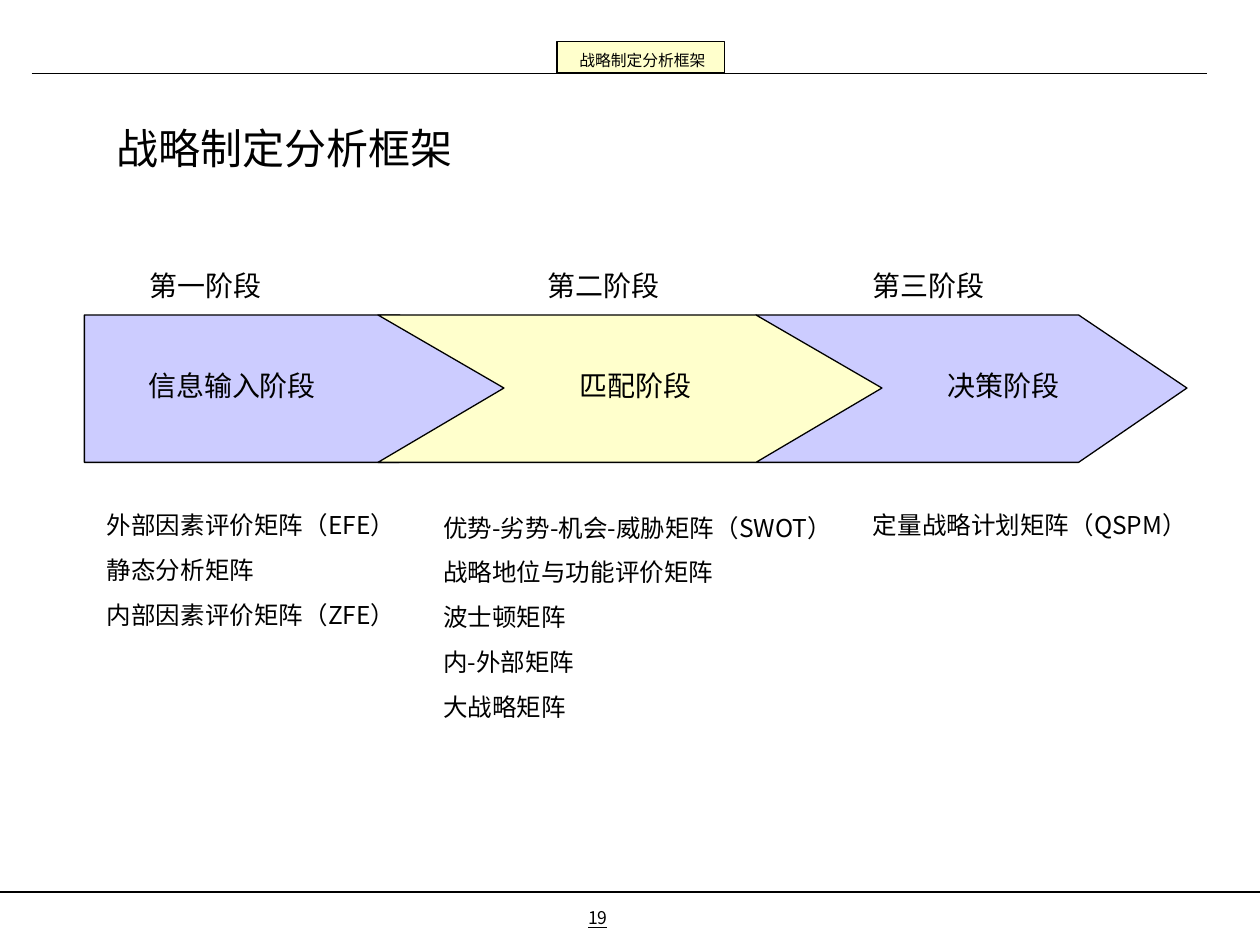
from lxml import etree
from pptx import Presentation
from pptx.dml.color import RGBColor
from pptx.enum.shapes import MSO_CONNECTOR, MSO_SHAPE
from pptx.enum.text import MSO_AUTO_SIZE
from pptx.oxml.ns import qn
from pptx.util import Inches, Pt

RECT = MSO_SHAPE.RECTANGLE
LINE = MSO_CONNECTOR.STRAIGHT
GROW = MSO_AUTO_SIZE.SHAPE_TO_FIT_TEXT
SANS = "Noto Sans CJK SC"
SERIF = "Times New Roman"
BLACK, BLUE, CREAM = "000000", "CCCCFF", "FFFFCC"

deck = Presentation()
deck.slide_width, deck.slide_height = Inches(10), Inches(7.5)
shapes = deck.slides.add_slide(deck.slide_layouts[6]).shapes


def paint(shape, fill):
    shape.shadow.inherit = False
    shape.fill.solid()
    shape.fill.fore_color.rgb = RGBColor.from_string(fill)
    shape.line.color.rgb = RGBColor.from_string(BLACK)
    shape.line.width = Pt(0.75)


def write(text, left, top, width, height, size=16, font=SANS, wrap=True,
          gap=0, under=None):
    """Add a text box with one paragraph per line, gap points apart."""
    box = shapes.add_textbox(*map(Inches, (left, top, width, height)))
    frame = box.text_frame
    frame.word_wrap = wrap
    frame.auto_size = GROW
    frame.text = text
    for i, para in enumerate(frame.paragraphs):
        para.space_before = Pt(gap if i else 0)
        run = para.runs[0]
        run.font.size = Pt(size)
        run.font.name = font
        run.font.underline = under
        run.font.color.rgb = RGBColor.from_string(BLACK)
        east = etree.SubElement(run.font._element, qn("a:ea"))
        east.set("typeface", SANS)


# Header tab, rules and page number
tab = shapes.add_shape(RECT, Inches(4.42), Inches(0.33), Inches(1.33), Inches(0.25))
paint(tab, CREAM)
write("战略制定分析框架", 4.5, 0.35, 1.2, 0.25, size=9, font=SERIF, wrap=False)
for left, right, y, weight in [(0.25, 9.58, 0.58, 0.25), (0, 10, 7.08, 1)]:
    rule = shapes.add_connector(LINE, Inches(left), Inches(y), Inches(right), Inches(y))
    rule.line.color.rgb = RGBColor.from_string(BLACK)
    rule.line.width = Pt(weight)
    etree.SubElement(rule._element.spPr, qn("a:effectLst"))
write("19", 4.57, 7.15, 0.36, 0.27, size=10, wrap=False, under=True)

write("战略制定分析框架", 0.83, 0.92, 3.08, 0.5, size=24, font=SERIF)

# Arrow band: left edge, notch, shoulder, tip, fill; the middle one lies on top
TOP, MID, LOW = 2.5, 3.08, 3.67
arrows = [
    (6, 6.85, 8.56, 9.42, BLUE),
    (0.67, 0.67, 3.17, 4, BLUE),
    (3, 4, 6, 7, CREAM),
]
for left, notch, bend, tip, fill in arrows:
    pen = shapes.build_freeform(Inches(left), Inches(TOP))
    points = [(bend, TOP), (tip, MID), (bend, LOW), (left, LOW), (notch, MID)]
    pen.add_line_segments([(Inches(x), Inches(y)) for x, y in points])
    paint(pen.convert_to_shape(), fill)

# Phase number with its left edge and font, then name with left edge and width
phases = [
    ("第一阶段", 1.09, SERIF, "信息输入阶段", 1.08, 1.67),
    ("第二阶段", 4.25, SERIF, "匹配阶段", 4.5, 1.42),
    ("第三阶段", 6.83, SANS, "决策阶段", 7.42, 1.25),
]
for step, x, font, name, left, width in phases:
    write(step, x, 2.08, 1.12, 0.37, font=font, wrap=False)
    write(name, left, 2.88, width, 0.37, font=font)

# Tools used in each phase
tools = [
    (0.75, 4, 3.25, 1.4, ["外部因素评价矩阵（EFE）", "静态分析矩阵", "内部因素评价矩阵（ZFE）"]),
    (3.42, 4.02, 3.83, 1.76, ["优势-劣势-机会-威胁矩阵（SWOT）", "战略地位与功能评价矩阵",
                              "波士顿矩阵", "内-外部矩阵", "大战略矩阵"]),
    (6.83, 4, 2.75, 0.34, ["定量战略计划矩阵（QSPM）"]),
]
for left, top, width, height, lines in tools:
    write("\n".join(lines), left, top, width, height, size=14, gap=8.8)

deck.save("out.pptx")
